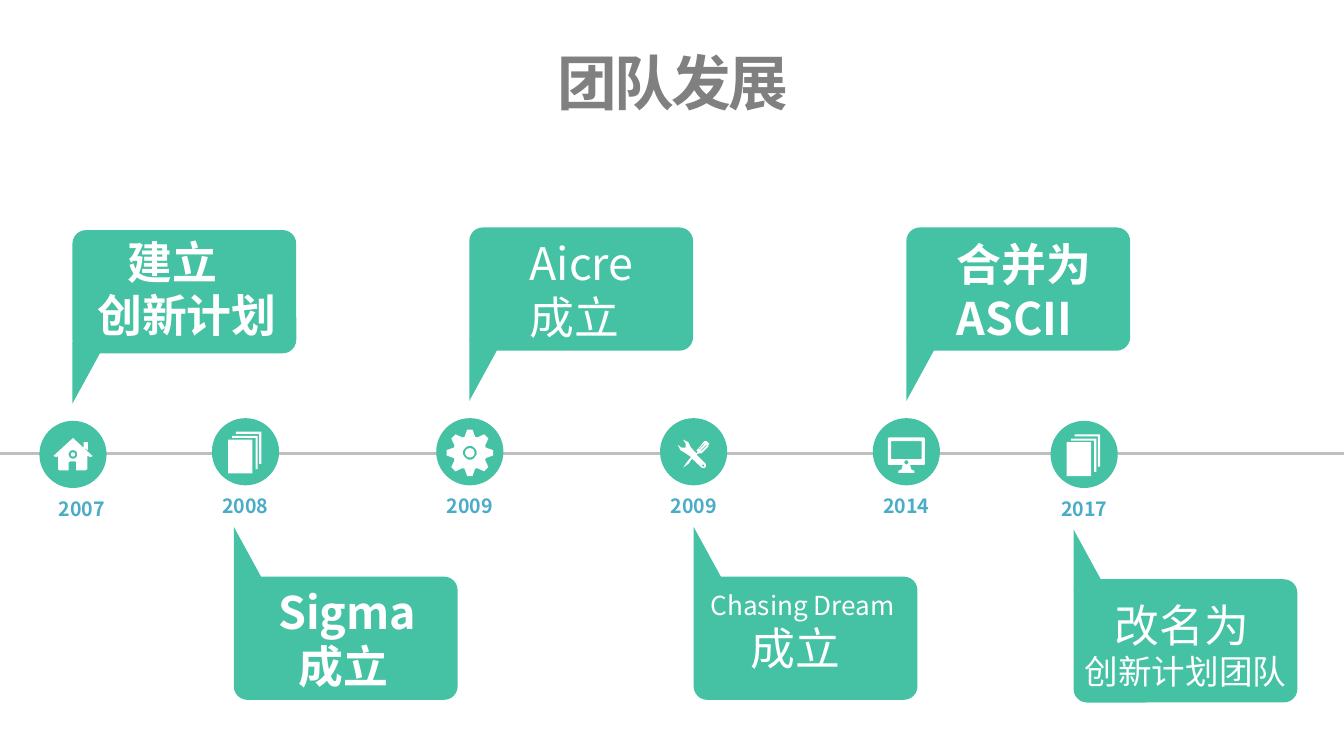
from dataclasses import dataclass
from math import cos, radians, sin

from pptx import Presentation
from pptx.dml.color import RGBColor
from pptx.enum.shapes import MSO_CONNECTOR, MSO_SHAPE as SHAPE
from pptx.enum.text import MSO_AUTO_SIZE as AUTO, PP_ALIGN as ALIGN
from pptx.oxml.ns import qn
from pptx.util import Cm, Pt
from lxml.etree import SubElement

COLORS = {"teal": "45C1A4", "white": "FFFFFF", "gray": "808080", "line": "BFBFBF", "year": "4BACC6"}
FONT = "Noto Sans CJK SC"
DIAMETER = 1.27
BUBBLE_W, BUBBLE_H = 4.23, 2.33
TAIL_W, TAIL_H = 0.64, 1.17
YEAR_W = 3.28

Contour = list[tuple[float, float]]


@dataclass
class Line:
    text: str
    size: float = 24
    bold: bool = False
    indent: float = 0


@dataclass
class Icon:
    contours: list[Contour]
    dot: float = 0
    dy: float = 0


@dataclass
class Event:
    year: str
    icon: str
    x: float
    y: float
    bubble_x: float
    above: bool
    text_box: tuple[float, float, float, float]
    lines: list[Line]
    year_dx: float = 0


def rgb(name: str) -> RGBColor:
    return RGBColor.from_string(COLORS[name])


def box(left: float, top: float, right: float, bottom: float) -> Contour:
    return [(left, top), (right, top), (right, bottom), (left, bottom)]


def page_edge(left: float, top: float, right: float, bottom: float, t: float = 4) -> Contour:
    return [(left, top), (right, top), (right, bottom), (right - t, bottom),
            (right - t, top + t), (left, top + t)]


def polar(r: float, degrees: float, x: float = 0, y: float = 0) -> tuple[float, float]:
    return x + r * cos(radians(degrees)), y + r * sin(radians(degrees))


def ring(r: float, x: float = 0, y: float = 0) -> Contour:
    return [polar(r, a, x, y) for a in range(0, 360, 15)]


def gear(teeth: int = 8) -> Contour:
    profile = [(32, -18.4), (44, -6.7), (44, 6.7), (32, 18.4)]
    return [polar(r, 360 / teeth * k + a) for k in range(teeth) for r, a in profile]


ICONS = {
    "home": Icon([
        [(0, -31), (-37, 3), (-31, 5), (-28, 3), (-28, 28), (-26, 30), (-8, 30), (-8, 15),
         (-5, 13), (4, 13), (6, 15), (6, 30), (24, 30), (27, 28), (27, 1), (28, 3), (33, 5), (37, 3)],
        ring(8),
        [(28, -8), (28, -23), (20, -23), (20, -13)],
    ], dot=4),
    "pages": Icon([page_edge(-18, -38, 30, 23), page_edge(-25, -30, 23, 33), box(-33, -23, 13, 41)]),
    "gear": Icon([gear(), ring(13)], dot=9, dy=0.02),
    "tools": Icon([
        [(30, -15), (25, -20), (20, -20), (8, -5), (5, -3), (8, 0), (5, 3), (-5, -8), (-10, -18),
         (-20, -23), (-15, -15), (-15, -8), (-23, -8), (-30, -13), (-25, -3), (-15, 3), (-5, 10),
         (-13, 20), (-15, 23), (-20, 30), (-13, 25), (-10, 23), (-3, 13), (15, 30), (20, 31),
         (23, 28), (23, 23), (5, 5), (10, 3), (15, 3), (28, -10), (28, -13)],
        ring(2, 18, 26),
        [(10, -5), (11, -4), (21, -15), (20, -16)],
        [(13, -2), (14, -1), (25, -12), (24, -13)],
    ]),
    "monitor": Icon([
        [(-33, -27), (33, -27), (35, -25), (35, 23), (33, 25), (7, 25), (9, 33), (15, 36),
         (15, 40), (-15, 40), (-15, 36), (-9, 33), (-7, 25), (-33, 25), (-35, 23), (-35, -25)],
        box(-29, -20, 29, 14),
        ring(4, 0, 20),
    ]),
}

EVENTS = [
    Event("2007", "home", 1.38, 8.59, 1.37, True, (1.71, 4.36, 4.06, 2.18),
          [Line("建立", bold=True, indent=0.58), Line("创新计划", bold=True)], 0.17),
    Event("2008", "pages", 4.64, 8.54, 4.42, False, (5.13, 10.99, 4.06, 2.18),
          [Line("Sigma", bold=True), Line("成立", bold=True, indent=0.38)]),
    Event("2009", "gear", 8.88, 8.54, 8.87, True, (9.88, 4.39, 3.28, 2.18),
          [Line("Aicre"), Line("成立")]),
    Event("2009", "tools", 13.11, 8.54, 13.11, False, (13.3, 11.07, 4.06, 1.75),
          [Line("Chasing Dream", 14), Line("成立", indent=0.76)]),
    Event("2014", "monitor", 17.13, 8.54, 17.13, True, (17.95, 4.41, 3.4, 2.18),
          [Line("合并为", bold=True), Line("ASCII", bold=True)]),
    Event("2017", "pages", 20.49, 8.59, 20.29, False, (20.37, 11.22, 4.2, 1.93),
          [Line("改名为", indent=0.57), Line("创新计划团队", 18)]),
]


def paint(s, color: str) -> None:
    s.shadow.inherit = False
    s.fill.solid()
    s.fill.fore_color.rgb = rgb(color)
    s.line.fill.background()


def add_shape(sp, kind: SHAPE, x: float, y: float, w: float, h: float, color: str):
    s = sp.add_shape(kind, Cm(x), Cm(y), Cm(w), Cm(h))
    paint(s, color)
    return s


def add_text(sp, frame: tuple[float, float, float, float], lines: list[Line], color: str,
             align: ALIGN = ALIGN.LEFT, spacing: int = 0) -> None:
    tf = sp.add_textbox(*map(Cm, frame)).text_frame
    tf.word_wrap = True
    tf.auto_size = AUTO.SHAPE_TO_FIT_TEXT
    tf.margin_left = tf.margin_right = Cm(0.13)
    tf.margin_top = tf.margin_bottom = Cm(0.07)
    tf.text = "\n".join(line.text for line in lines)
    for p, line in zip(tf.paragraphs, lines):
        p.alignment = align
        if line.indent:
            p._p.get_or_add_pPr().set("marL", str(Cm(line.indent)))
        r = p.runs[0]
        r.font.name = FONT
        r.font.size = Pt(line.size)
        r.font.bold = line.bold
        r.font.color.rgb = rgb(color)
        rPr = r._r.get_or_add_rPr()
        SubElement(rPr, qn("a:ea")).set("typeface", FONT)
        if spacing:
            rPr.set("spc", str(spacing))


def add_icon(sp, icon: Icon, x: float, y: float) -> None:
    first, *others = icon.contours
    builder = sp.build_freeform(*first[0], scale=Cm(0.01))
    builder.add_line_segments(first[1:])
    for contour in others:
        builder.move_to(*contour[0])
        builder.add_line_segments(contour[1:])
    y += icon.dy
    paint(builder.convert_to_shape(Cm(x), Cm(y)), "white")
    if icon.dot:
        r = icon.dot / 100
        add_shape(sp, SHAPE.OVAL, x - r, y - r, 2 * r, 2 * r, "white")


def add_bubble(sp, event: Event) -> None:
    top, tail_top = (-4.24, -2.13) if event.above else (2.36, 1.42)
    s = add_shape(sp, SHAPE.ROUNDED_RECTANGLE, event.bubble_x, event.y + top, BUBBLE_W, BUBBLE_H, "teal")
    s.adjustments[0] = 0.11
    tail = add_shape(sp, SHAPE.RIGHT_TRIANGLE, event.bubble_x, event.y + tail_top, TAIL_W, TAIL_H, "teal")
    if event.above:
        tail._element.spPr.find(qn("a:xfrm")).set("flipV", "1")
    add_text(sp, event.text_box, event.lines, "white")


def add_event(sp, event: Event) -> None:
    r = DIAMETER / 2
    add_shape(sp, SHAPE.OVAL, event.x - r, event.y - r, DIAMETER, DIAMETER, "teal")
    add_icon(sp, ICONS[event.icon], event.x, event.y)
    year_x = event.x - YEAR_W / 2 + event.year_dx
    add_text(sp, (year_x, event.y + 0.73, YEAR_W, 0.58), [Line(event.year, 10.5, True)], "year", ALIGN.CENTER)
    add_bubble(sp, event)


def main() -> None:
    prs = Presentation()
    prs.slide_width, prs.slide_height = Cm(25.4), Cm(14.29)
    sp = prs.slides.add_slide(prs.slide_layouts[6]).shapes
    add_text(sp, (-0.03, 0.8, 25.48, 1.5), [Line("团队发展", 32, True)], "gray", ALIGN.CENTER, -150)
    axis = sp.add_connector(MSO_CONNECTOR.STRAIGHT, Cm(-0.03), Cm(8.57), Cm(25.4), Cm(8.57))
    axis.line.color.rgb = rgb("line")
    axis.line.width = Pt(1.5)
    SubElement(axis._element.spPr, qn("a:effectLst"))
    for event in EVENTS:
        add_event(sp, event)
    prs.save("out.pptx")


if __name__ == "__main__":
    main()
